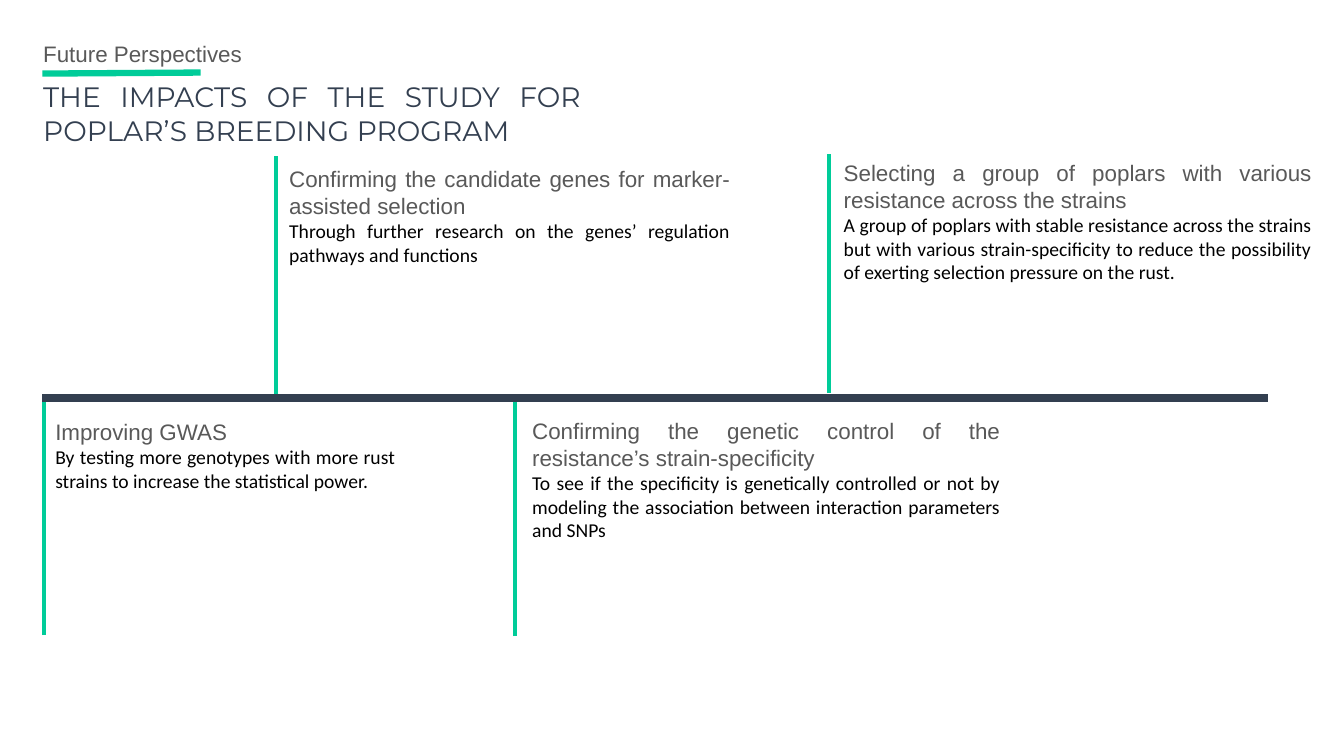
"""Build the slide on future perspectives for the poplar breeding program."""
from lxml import etree
from pptx import Presentation
from pptx.dml.color import RGBColor
from pptx.enum.shapes import MSO_CONNECTOR
from pptx.enum.text import PP_ALIGN
from pptx.oxml.ns import qn
from pptx.util import Inches, Pt

STRAIGHT = MSO_CONNECTOR.STRAIGHT
LEFT, JUSTIFY = PP_ALIGN.LEFT, PP_ALIGN.JUSTIFY
GREEN = RGBColor(0x00, 0xCC, 0x99)
NAVY = RGBColor(0x33, 0x3F, 0x50)
GRAY = RGBColor(0x59, 0x59, 0x59)
BLACK = RGBColor(0x00, 0x00, 0x00)
HEADING = ("Arial", 16, GRAY)
TITLE = ("Montserrat", 20, NAVY)
BODY = ("Calibri", 14, BLACK)

prs = Presentation()
prs.slide_width, prs.slide_height = Inches(13.33), Inches(7.5)
s = prs.slides.add_slide(prs.slide_layouts[6])


def add_text(*paragraphs, box, align=JUSTIFY):
    tf = s.shapes.add_textbox(*[Inches(v) for v in box]).text_frame
    tf.word_wrap = True
    for i, (text, (font, size, color)) in enumerate(paragraphs):
        p = tf.add_paragraph() if i else tf.paragraphs[0]
        p.alignment = align
        r = p.add_run()
        r.text = text
        r.font.name, r.font.size = font, Pt(size)
        r.font.color.rgb = color


def add_line(*ends, color=GREEN, width=3):
    line = s.shapes.add_connector(STRAIGHT, *[Inches(v) for v in ends])
    line.line.color.rgb = color
    line.line.width = Pt(width)
    etree.SubElement(line._element.spPr, qn("a:effectLst"))


add_text(("Future Perspectives", HEADING), box=(0.33, 0.35, 4.78, 0.37), align=LEFT)
add_text(("THE IMPACTS OF THE STUDY FOR POPLAR’S BREEDING PROGRAM", TITLE),
         box=(0.33, 0.74, 5.53, 0.77))
add_line(1.99, 0.72, 0.42, 0.73, width=4.5)

milestones = [
    (0.44, 3.93, (0.45, 4.1, 3.57, 0.84), "Improving GWAS",
     "By testing more genotypes with more rust strains to increase the "
     "statistical power."),
    (2.74, 1.55, (2.77, 1.59, 4.57, 1.11),
     "Confirming the candidate genes for marker-assisted selection",
     "Through further research on the genes’ regulation pathways and functions"),
    (5.11, 3.94, (5.18, 4.09, 4.84, 1.35),
     "Confirming the genetic control of the resistance’s strain-specificity",
     "To see if the specificity is genetically controlled or not by modeling "
     "the association between interaction parameters and SNPs"),
    (8.22, 1.53, (8.27, 1.53, 4.84, 1.35),
     "Selecting a group of poplars with various resistance across the strains",
     "A group of poplars with stable resistance across the strains but with "
     "various strain-specificity to reduce the possibility of exerting "
     "selection pressure on the rust."),
]
for x, top, box, heading, body in milestones:
    add_line(x, top + 2.37, x, top)
    add_text((heading, HEADING), (body, BODY), box=box)

add_line(0.42, 3.95, 12.58, 3.95, color=NAVY, width=6)

prs.save("out.pptx")
